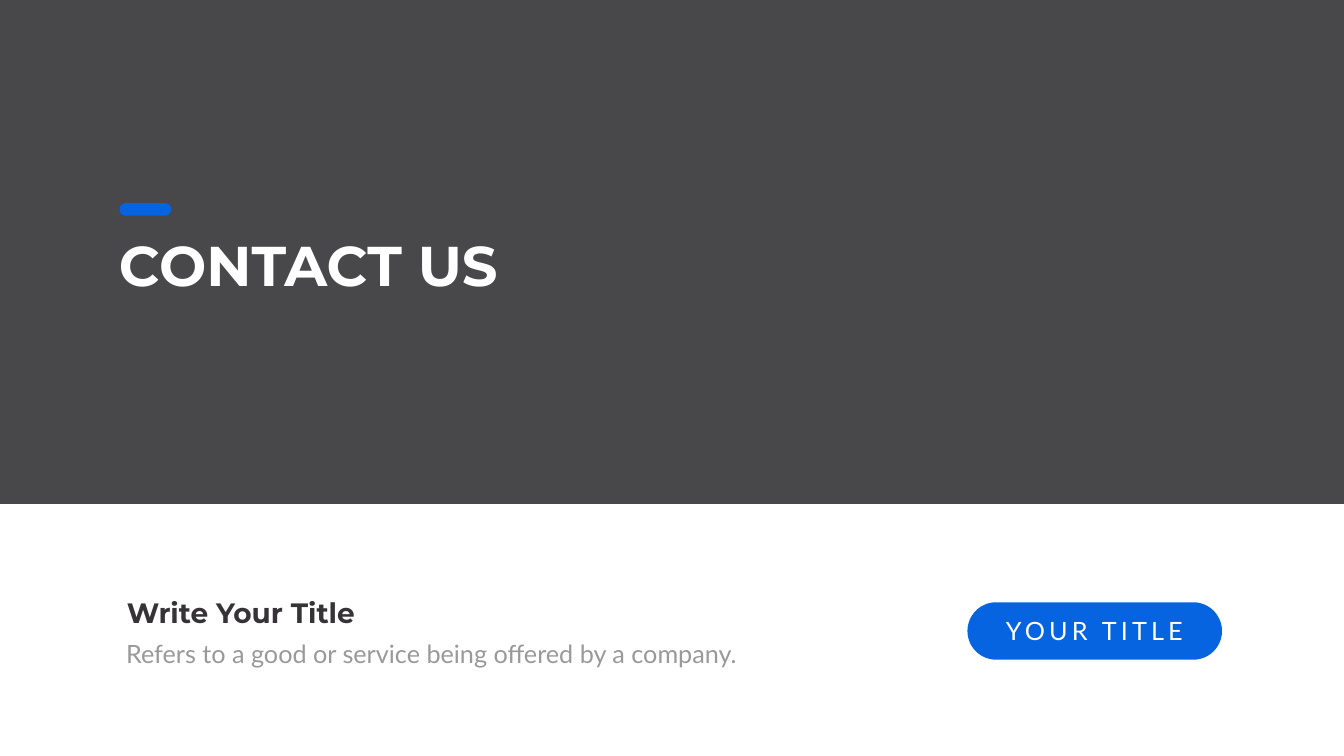
from dataclasses import dataclass

from lxml import etree
from pptx import Presentation
from pptx.dml.color import RGBColor
from pptx.enum import shapes, text
from pptx.oxml import ns
from pptx.util import Pt


@dataclass(frozen=True)
class Theme:
    dark: str = "353336"
    blue: str = "0664E0"
    grey: str = "999999"
    white: str = "FFFFFF"
    head_font: str = "Montserrat"
    body_font: str = "Lato"
    heading: int = 80
    title: int = 40
    body: int = 36


T = Theme()
WIDTH, HEIGHT, BAND_HEIGHT = 1919.52, 1080, 720


def add_block(s, kind, box, color, opacity=None):
    """Add a borderless filled shape; rounded ones get full-radius ends."""
    sp = s.shapes.add_shape(kind, *map(Pt, box))
    sp.shadow.inherit = False
    sp.line.fill.background()
    sp.fill.solid()
    sp.fill.fore_color.rgb = RGBColor.from_string(color)
    if kind == shapes.MSO_SHAPE.ROUNDED_RECTANGLE:
        sp.adjustments[0] = 0.5
    if opacity is not None:
        clr = sp.fill._xPr.find(".//" + ns.qn("a:srgbClr"))
        etree.SubElement(clr, ns.qn("a:alpha"), val=str(opacity * 1000))
    return sp


def add_text(s, box, words, font, size, color, bold=False, inset=(7.2, 3.6),
             align=text.PP_ALIGN.LEFT, spacing=0):
    tf = s.shapes.add_textbox(*map(Pt, box)).text_frame
    tf.word_wrap = True
    tf.margin_left = tf.margin_right = Pt(inset[0])
    tf.margin_top = tf.margin_bottom = Pt(inset[1])
    p = tf.paragraphs[0]
    r = p.add_run()
    r.text = words
    p.alignment = align
    p.font.name, p.font.size, p.font.bold = font, Pt(size), bold
    p.font.color.rgb = RGBColor.from_string(color)
    if spacing:
        r.font._element.set("spc", str(spacing * 100))


def add_banner(s, x, y, w, h):
    """Dark band with an accent bar above the heading."""
    add_block(s, shapes.MSO_SHAPE.RECTANGLE, (x, y, w, h), T.dark, opacity=90)
    add_text(s, (x + 162.72, y + 325.44, 615.6, 104.4), "CONTACT US",
             T.head_font, T.heading, T.white, bold=True)
    add_block(s, shapes.MSO_SHAPE.ROUNDED_RECTANGLE,
              (x + 170.64, y + 290.16, 74.16, 18), T.blue)


def add_caption(s, x, y, w, h):
    """Title with a description line beneath it."""
    title_h = 56.16
    add_text(s, (x, y + title_h, w, h - title_h),
             "Refers to a good or service being offered by a company.",
             T.body_font, T.body, T.grey, inset=(17.28, 8.64))
    add_text(s, (x + 11.52, y, 408.24, title_h), "Write Your Title",
             T.head_font, T.title, T.dark, bold=True)


def add_button(s, x, y, w, h):
    """Pill with a letter-spaced label."""
    add_block(s, shapes.MSO_SHAPE.ROUNDED_RECTANGLE, (x, y, w, h), T.blue)
    add_text(s, (x + 28.8, y + 15.12, w - 58.32, 51.12), "YOUR TITLE",
             T.body_font, T.body, T.white,
             align=text.PP_ALIGN.CENTER, spacing=6)


def main():
    prs = Presentation()
    prs.slide_width, prs.slide_height = Pt(WIDTH), Pt(HEIGHT)
    s = prs.slides.add_slide(prs.slide_layouts[6])
    add_caption(s, 162.72, 847.44, 928.08, 117.36)
    add_banner(s, 0, 0, WIDTH, BAND_HEIGHT)
    add_button(s, 1381.68, 860.4, 363.6, 82.08)
    prs.save("out.pptx")


if __name__ == "__main__":
    main()
